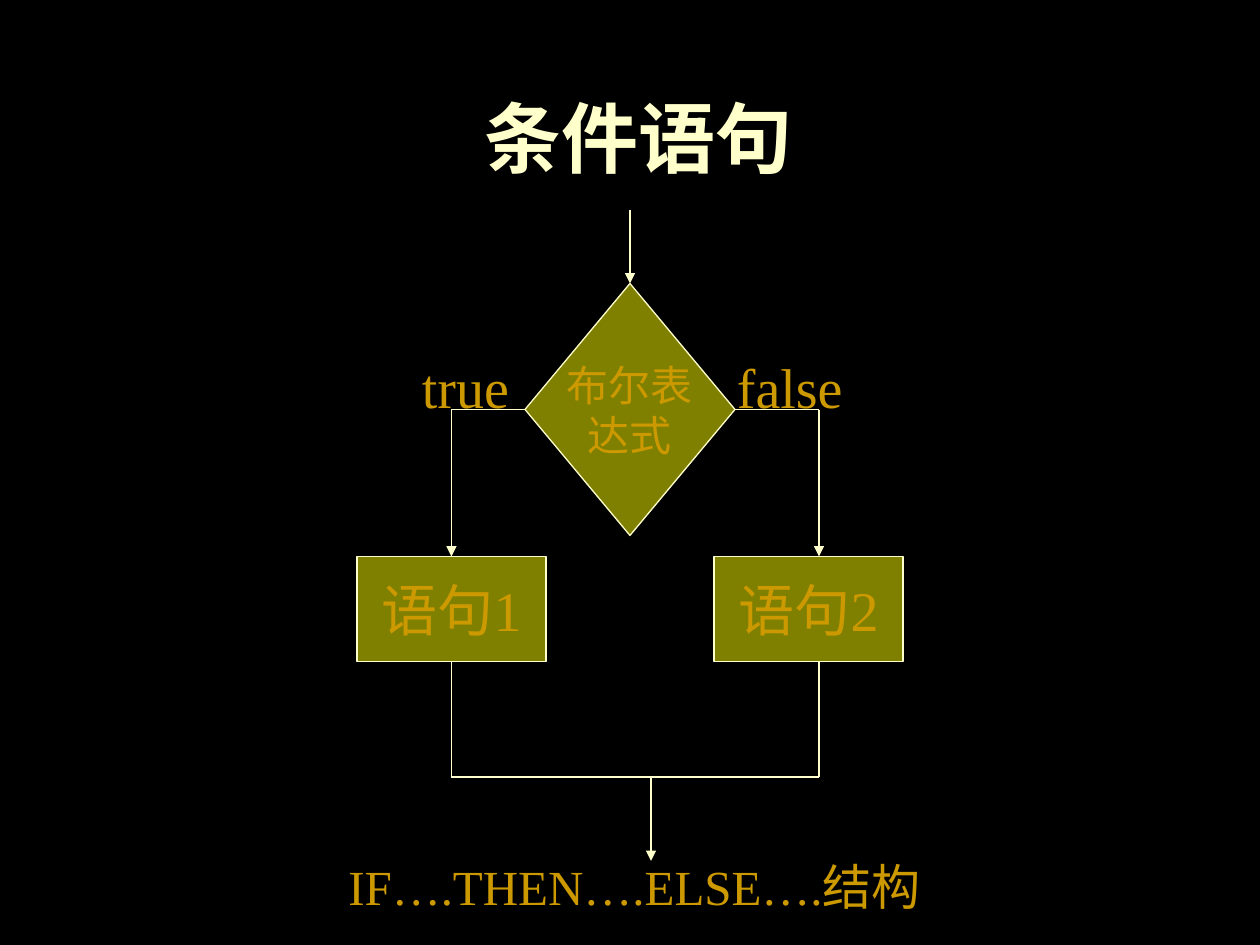
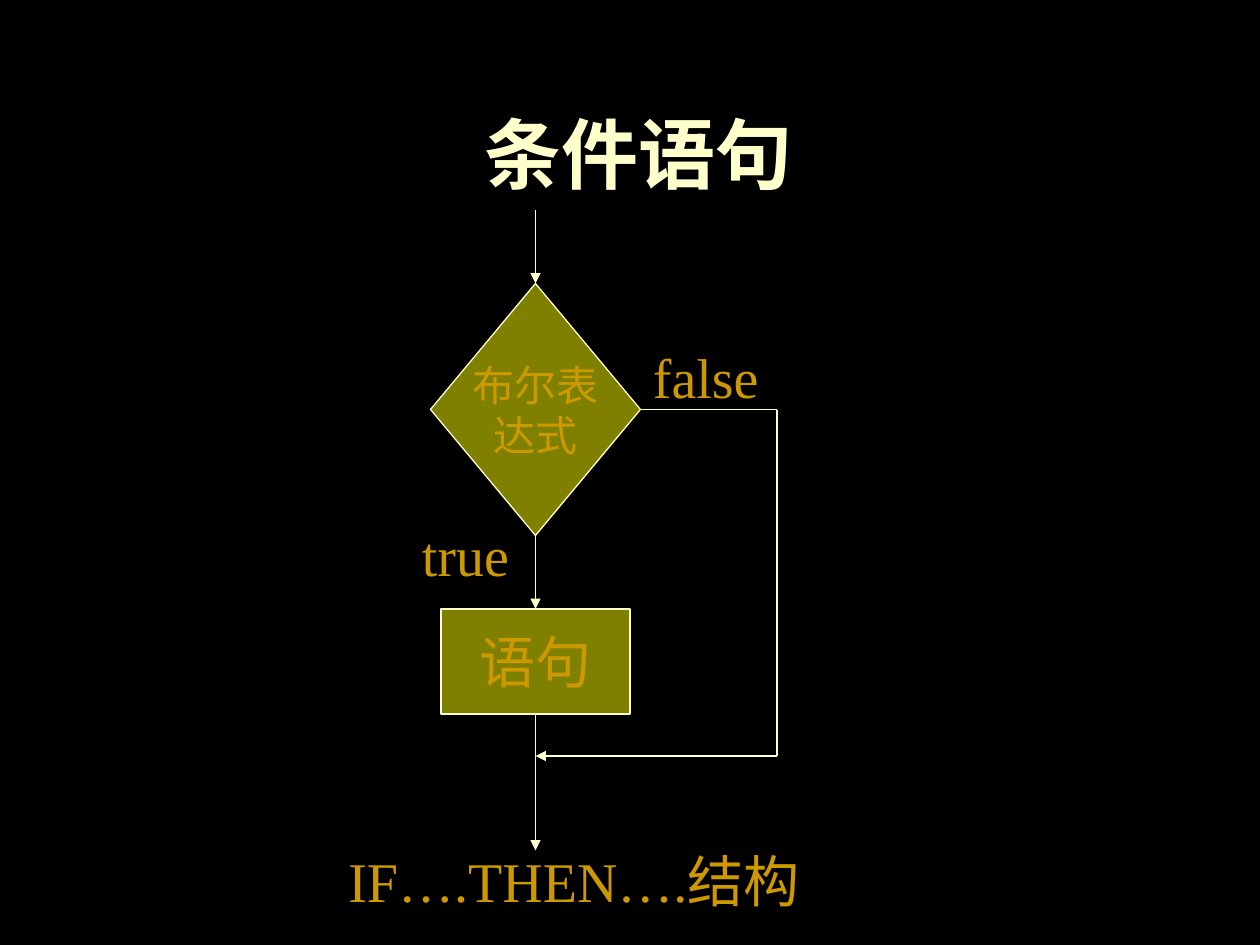
from dataclasses import dataclass
from itertools import pairwise

from lxml.etree import SubElement
from pptx import Presentation
from pptx.dml.color import RGBColor
from pptx.enum.shapes import MSO_CONNECTOR, MSO_SHAPE
from pptx.enum.text import MSO_ANCHOR, PP_ALIGN
from pptx.oxml.ns import qn
from pptx.util import Pt


@dataclass(frozen=True)
class Theme:
    background: RGBColor = RGBColor(0x00, 0x00, 0x00)
    pale: RGBColor = RGBColor(0xFF, 0xFF, 0xCC)
    olive: RGBColor = RGBColor(0x80, 0x80, 0x00)
    gold: RGBColor = RGBColor(0xCC, 0x99, 0x00)
    font: str = "Times New Roman"
    title: int = 44
    body: int = 32
    caption: int = 28
    condition: int = 24
    line: float = 0.75


THEME = Theme()
TOP, LEFT, BOTTOM, RIGHT = range(4)  # connection sites
DIAMOND_W, DIAMOND_H = 120, 144
STATEMENT_W, STATEMENT_H = 108, 60
LABEL_H = 46


def write(tf, lines, size, color, align=PP_ALIGN.LEFT, bold=False):
    for i, text in enumerate(lines):
        p = tf.paragraphs[0] if i == 0 else tf.add_paragraph()
        p.alignment = align
        r = p.add_run()
        r.text = text
        r.font.name = THEME.font
        r.font.size = Pt(size)
        r.font.bold = bold
        r.font.color.rgb = color


def add_title(s, box, text):
    sp = s.shapes.title
    sp.left, sp.top, sp.width, sp.height = map(Pt, box)
    sp.text_frame.vertical_anchor = MSO_ANCHOR.BOTTOM
    write(sp.text_frame, [text], THEME.title, THEME.pale, PP_ALIGN.CENTER, bold=True)


def add_label(s, x, y, w, text, size=THEME.body):
    tf = s.shapes.add_textbox(Pt(x), Pt(y), Pt(w), Pt(LABEL_H)).text_frame
    tf.word_wrap = True
    write(tf, [text], size, THEME.gold)


def add_node(s, kind, box, lines, size):
    sp = s.shapes.add_shape(kind, *map(Pt, box))
    sp.shadow.inherit = False
    sp.fill.solid()
    sp.fill.fore_color.rgb = THEME.olive
    sp.line.color.rgb = THEME.pale
    sp.line.width = Pt(THEME.line)
    tf = sp.text_frame
    tf.word_wrap = False
    tf.vertical_anchor = MSO_ANCHOR.MIDDLE
    write(tf, lines, size, THEME.gold, PP_ALIGN.CENTER)
    return sp


def add_condition(s, x, y):
    box = (x, y, DIAMOND_W, DIAMOND_H)
    return add_node(s, MSO_SHAPE.DIAMOND, box, ["布尔表", "达式"], THEME.condition)


def add_statement(s, x, y, text):
    box = (x, y, STATEMENT_W, STATEMENT_H)
    return add_node(s, MSO_SHAPE.RECTANGLE, box, [text], THEME.body)


def add_route(s, points, start=None, end=None, arrow=True):
    """Draw straight lines through the points; start and end are (shape, site)."""
    lines = []
    for (x1, y1), (x2, y2) in pairwise(points):
        c = s.shapes.add_connector(MSO_CONNECTOR.STRAIGHT, Pt(x1), Pt(y1), Pt(x2), Pt(y2))
        c.line.color.rgb = THEME.pale
        c.line.width = Pt(THEME.line)
        SubElement(c._element.spPr, qn("a:effectLst"))
        lines.append(c)
    if start:
        lines[0].begin_connect(*start)
    if end:
        lines[-1].end_connect(*end)
    if arrow:
        SubElement(lines[-1].line._get_or_add_ln(), qn("a:tailEnd"), type="triangle")


def draw_if_else(s, x, y, w, h):
    # Nodes
    cx = x + w / 2
    left, right = x + STATEMENT_W / 2, x + 264
    branch_y, mid_y, join_y = y + 198, y + 114, y + 324
    condition = add_condition(s, cx - DIAMOND_W / 2, y + 42)
    first = add_statement(s, x, branch_y, "语句1")
    add_statement(s, x + w - STATEMENT_W, branch_y, "语句2")
    # Entry and branches
    add_route(s, [(cx, y), (cx, y + 42)], end=(condition, TOP))
    add_route(s, [(cx - DIAMOND_W / 2, mid_y), (left, mid_y), (left, branch_y)],
              start=(condition, LEFT), end=(first, TOP))
    add_route(s, [(cx + DIAMOND_W / 2, mid_y), (right, mid_y), (right, branch_y)],
              start=(condition, RIGHT))
    # Join and exit
    foot_y = branch_y + STATEMENT_H
    add_route(s, [(left, foot_y), (left, join_y), (right, join_y), (right, foot_y)],
              start=(first, BOTTOM), arrow=False)
    add_route(s, [(cx + 12, join_y), (cx + 12, y + h)])
    # Branch labels
    add_label(s, x + 30, y + 78, 72, "true")
    add_label(s, x + 210, y + 78, 84, "false")


def draw_if(s, x, y, w, h):
    # Nodes
    cx, right = x + DIAMOND_W / 2, x + w
    mid_y, join_y, statement_y = y + 114, y + 312, y + 228
    condition = add_condition(s, x, y + 42)
    statement = add_statement(s, cx - STATEMENT_W / 2, statement_y, "语句")
    # Main path
    add_route(s, [(cx, y), (cx, y + 42)], end=(condition, TOP))
    add_route(s, [(cx, y + 186), (cx, statement_y)],
              start=(condition, BOTTOM), end=(statement, TOP))
    add_route(s, [(cx, statement_y + STATEMENT_H), (cx, y + h)], start=(statement, BOTTOM))
    # Bypass
    add_route(s, [(x + DIAMOND_W, mid_y), (right, mid_y), (right, join_y), (cx, join_y)],
              start=(condition, RIGHT))
    # Branch labels
    add_label(s, x - 12, y + 174, 72, "true")
    add_label(s, x + DIAMOND_W, y + 72, 84, "false")


def add_slide(prs, title_y, draw, box, caption, caption_y, caption_size):
    s = prs.slides.add_slide(prs.slide_layouts[5])
    add_title(s, (25, title_y, 680, 60.5), "条件语句")
    draw(s, *box)
    add_label(s, 192, caption_y, 352, caption, caption_size)


def main():
    prs = Presentation()
    prs.slide_width, prs.slide_height = Pt(720), Pt(540)
    fill = prs.slide_master.background.fill
    fill.solid()
    fill.fore_color.rgb = THEME.background

    add_slide(prs, 47.5, draw_if_else, (204, 120, 312, 372),
              "IF….THEN….ELSE….结构", 486, THEME.caption)
    add_slide(prs, 57, draw_if, (246, 120, 198, 366),
              "IF….THEN….结构", 480, THEME.body)
    prs.save("out.pptx")


if __name__ == "__main__":
    main()
